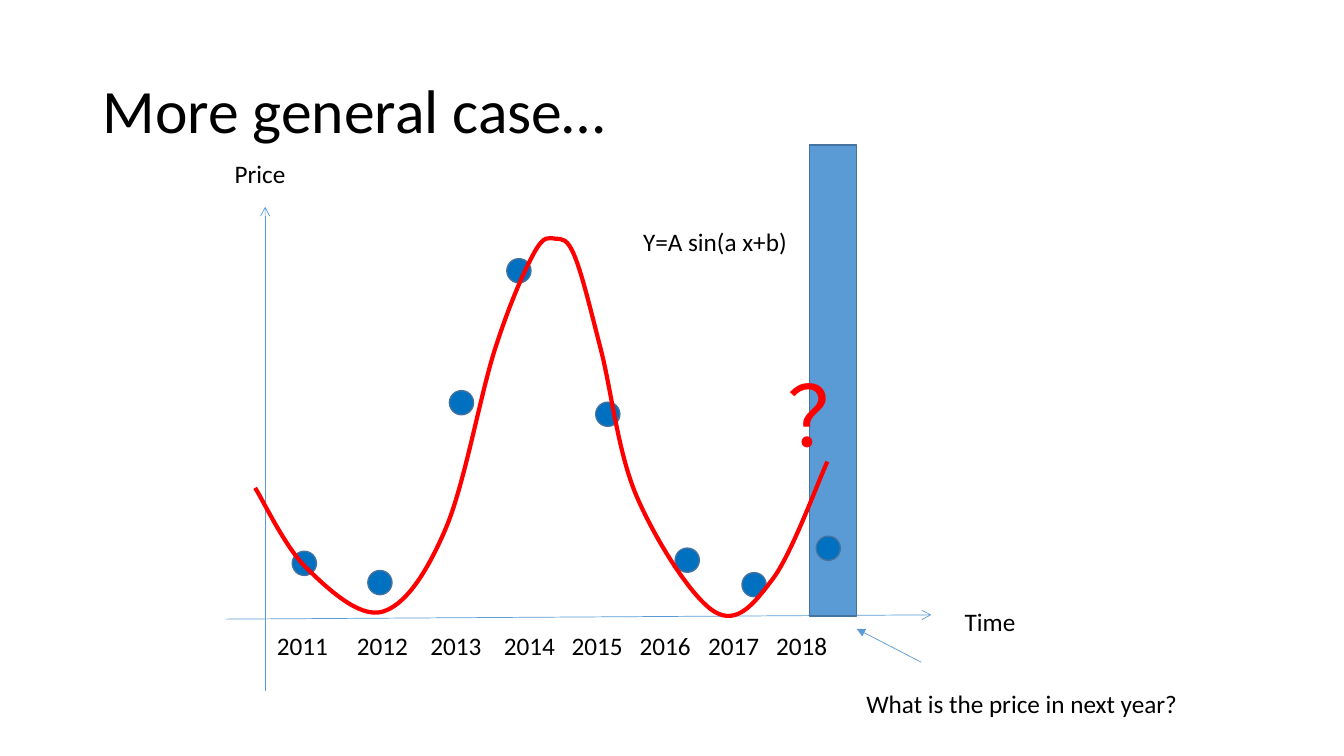
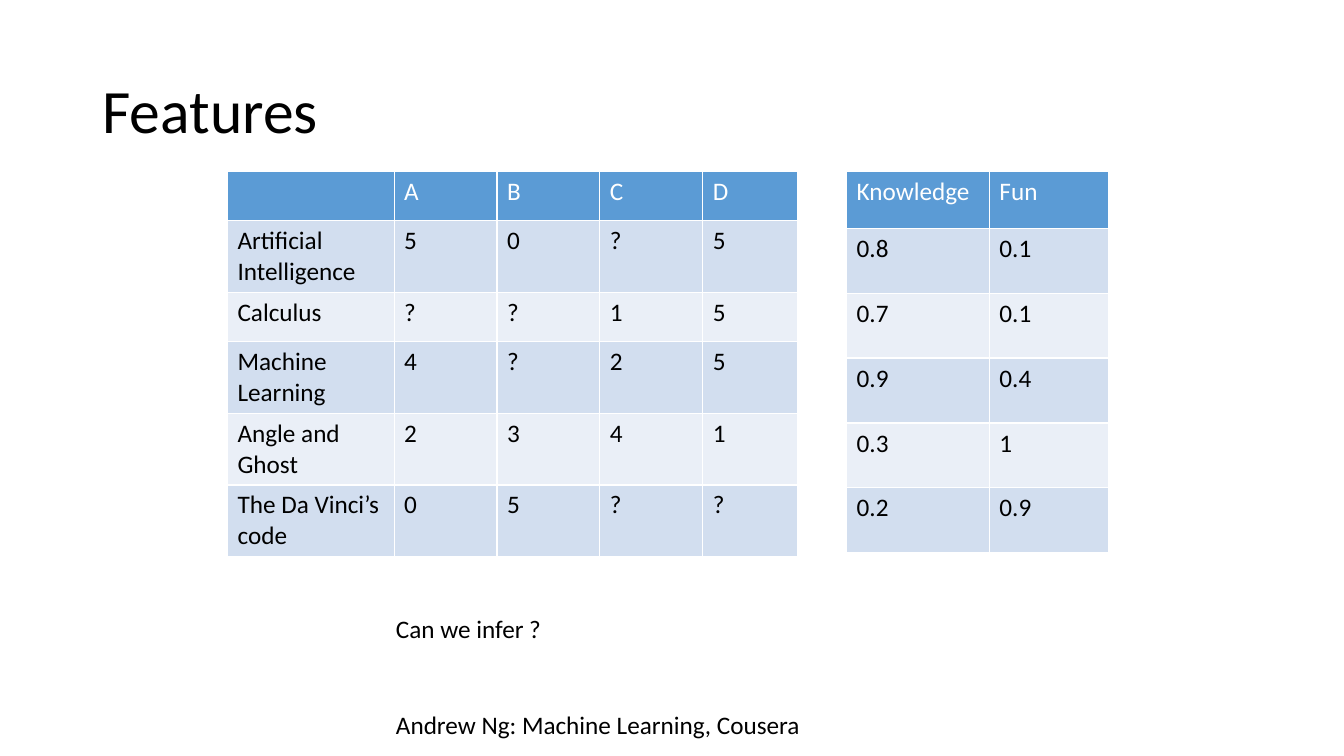
from lxml.etree import SubElement
from pptx import Presentation
from pptx.dml.color import RGBColor
from pptx.enum.shapes import MSO_CONNECTOR as Connector, MSO_SHAPE as Preset
from pptx.enum.text import MSO_ANCHOR as Anchor, MSO_AUTO_SIZE as AutoSize, PP_ALIGN as Align
from pptx.oxml.ns import qn
from pptx.util import Pt


def rgb(color):
    return RGBColor.from_string(color)


def write(frame, text, size=18, color="000000", font="Calibri", spacing=None, tabs=()):
    """Put one formatted paragraph into a text frame."""
    paragraph = frame.paragraphs[0]
    paragraph.alignment = Align.LEFT
    if spacing:
        paragraph.line_spacing = spacing
    if tabs:
        stops = SubElement(paragraph._p.get_or_add_pPr(), qn("a:tabLst"))
        for position in tabs:
            SubElement(stops, qn("a:tab"), pos=str(Pt(position)), algn="l")
    if text:
        run = paragraph.add_run()
        run.text = text
        run.font.name = font
        run.font.size = Pt(size)
        run.font.bold = False
        run.font.color.rgb = rgb(color)


def smooth_segments(knots):
    """Two control points and an end for each cubic through the knots."""
    padded = [knots[0], *knots, knots[-1]]
    for before, start, end, after in zip(padded, padded[1:], padded[2:], padded[3:]):
        leave = [s + (e - b) / 6 for b, s, e in zip(before, start, end)]
        arrive = [e - (a - s) / 6 for s, e, a in zip(start, end, after)]
        yield leave, arrive, end


class Deck:
    BLUE, EDGE, DOT, RED = "5B9BD5", "43739E", "0070C0", "FF0000"
    BANDS = ("D2DEEF", "EAEFF7")

    def __init__(self):
        self.file = Presentation()
        self.file.slide_width, self.file.slide_height = Pt(960), Pt(540)

    def slide(self, title):
        page = self.file.slides.add_slide(self.file.slide_layouts[5])
        self.shapes = page.shapes
        heading = self.shapes.title
        heading.left, heading.top, heading.width, heading.height = map(Pt, (66, 28.75, 828, 104.4))
        frame = heading.text_frame
        frame.vertical_anchor = Anchor.MIDDLE
        frame.auto_size = AutoSize.NONE
        write(frame, title, size=44, spacing=0.9)

    def label(self, text, left, top, width, height=29, wrap=True, **style):
        box = self.shapes.add_textbox(Pt(left), Pt(top), Pt(width), Pt(height))
        box.text_frame.word_wrap = wrap
        box.text_frame.auto_size = AutoSize.SHAPE_TO_FIT_TEXT
        write(box.text_frame, text, **style)

    def shape(self, preset, left, top, width, height, fill):
        item = self.shapes.add_shape(preset, Pt(left), Pt(top), Pt(width), Pt(height))
        item.shadow.inherit = False
        item.fill.solid()
        item.fill.fore_color.rgb = rgb(fill)
        item.line.color.rgb = rgb(self.EDGE)
        item.line.width = Pt(1)

    def arrow(self, start, end, head="arrow"):
        line = self.shapes.add_connector(Connector.STRAIGHT, *map(Pt, (*start, *end)))
        line.line.color.rgb = rgb(self.BLUE)
        line.line.width = Pt(0.5)
        properties = line._element.spPr
        SubElement(properties.find(qn("a:ln")), qn("a:tailEnd"), type=head)
        SubElement(properties, qn("a:effectLst"))

    def curve(self, knots):
        first, *rest = [(Pt(x), Pt(y)) for x, y in knots]
        outline = self.shapes.build_freeform(*first, scale=1.0)
        outline.add_line_segments(rest, close=False)
        wave = outline.convert_to_shape()
        wave.shadow.inherit = False
        wave.fill.background()
        wave.line.color.rgb = rgb(self.RED)
        wave.line.width = Pt(3)

        # Turn the straight segments into cubic ones
        trace = next(wave._element.iter(qn("a:path")))
        for straight in trace.findall(qn("a:lnTo")):
            trace.remove(straight)
        for segment in smooth_segments(knots):
            cubic = SubElement(trace, qn("a:cubicBezTo"))
            for x, y in segment:
                SubElement(cubic, qn("a:pt"), x=str(Pt(x) - wave.left), y=str(Pt(y) - wave.top))

    def table(self, left, top, widths, heights, rows):
        grid = self.shapes.add_table(len(rows), len(widths), Pt(left), Pt(top),
                                     Pt(sum(widths)), Pt(sum(heights))).table
        for column, width in zip(grid.columns, widths):
            column.width = Pt(width)
        for r, (row, height) in enumerate(zip(rows, heights)):
            grid.rows[r].height = Pt(height)
            for c, text in enumerate(row):
                cell = grid.cell(r, c)
                cell.fill.solid()
                cell.fill.fore_color.rgb = rgb(self.BANDS[(r - 1) % 2] if r else self.BLUE)
                write(cell.text_frame, text, color="000000" if r else "FFFFFF")


def price_slide(deck):
    deck.slide("More general case…")

    # Axes
    deck.arrow((161.25, 442.25), (665.25, 439.2))
    deck.arrow((189.4, 493.25), (189.4, 147.6))
    deck.label("Time", 682, 429.25, 85)
    deck.label("Price", 160.5, 109.5, 70.5)

    # Year to predict
    deck.shape(Preset.RECTANGLE, 578, 103.5, 34, 336.5, deck.BLUE)
    deck.arrow((658, 473), (612, 449.25), head="triangle")
    deck.label("What is the price in next year?", 611.75, 488, 275)
    deck.label("？", 555.5, 256, 44.5, 80, size=60, color=deck.RED)

    # Observed prices
    prices = [(208.75, 393.75), (262.75, 407.5), (321, 279), (362, 184.75),
              (425.5, 287.25), (482.25, 391.5), (530, 409), (583, 383)]
    for left, top in prices:
        deck.shape(Preset.OVAL, left, top, 17.25, 17.25, deck.DOT)

    # Fitted sine
    deck.curve([(182.25, 348.5), (218.75, 405.5), (273, 437), (318.25, 378), (353.5, 249.75),
                (381.5, 180.75), (396.75, 170.5), (410.5, 183), (429.25, 249.75),
                (455, 355), (510.5, 437), (552.25, 413.25), (591, 329.75)])
    deck.label("Y=A sin(a x+b)", 452.25, 157.75, 126)

    # Years
    years = "\t".join(str(year) for year in range(2011, 2019))
    deck.label(years, 190.75, 446.5, 455, tabs=(57, 109.5, 162, 210.5, 259, 308, 356.5))


def features_slide(deck):
    deck.slide("Features")

    # Ratings by person
    deck.table(162.5, 122.5, (119, 73.5, 73.5, 73.5, 68), [35.2] * 6, [
        ("", "A", "B", "C", "D"),
        ("Artificial Intelligence", "5", "0", "?", "5"),
        ("Calculus", "?", "?", "1", "5"),
        ("Machine Learning", "4", "?", "2", "5"),
        ("Angle and Ghost", "2", "3", "4", "1"),
        ("The Da Vinci’s code", "0", "5", "?", "?"),
    ])

    # Question
    deck.label("Can we infer ?", 275.75, 434.5, 119.5, wrap=False)

    # Features of each item
    deck.table(604.75, 122.5, (102, 85), [40.5] + [46.4] * 5, [
        ("Knowledge", "Fun"),
        ("0.8", "0.1"),
        ("0.7", "0.1"),
        ("0.9", "0.4"),
        ("0.3", "1"),
        ("0.2", "0.9"),
    ])

    # Reference
    deck.label("Andrew Ng: Machine Learning, Cousera", 275.75, 503, 372)


def main():
    deck = Deck()
    price_slide(deck)
    features_slide(deck)
    deck.file.save("out.pptx")


if __name__ == "__main__":
    main()
